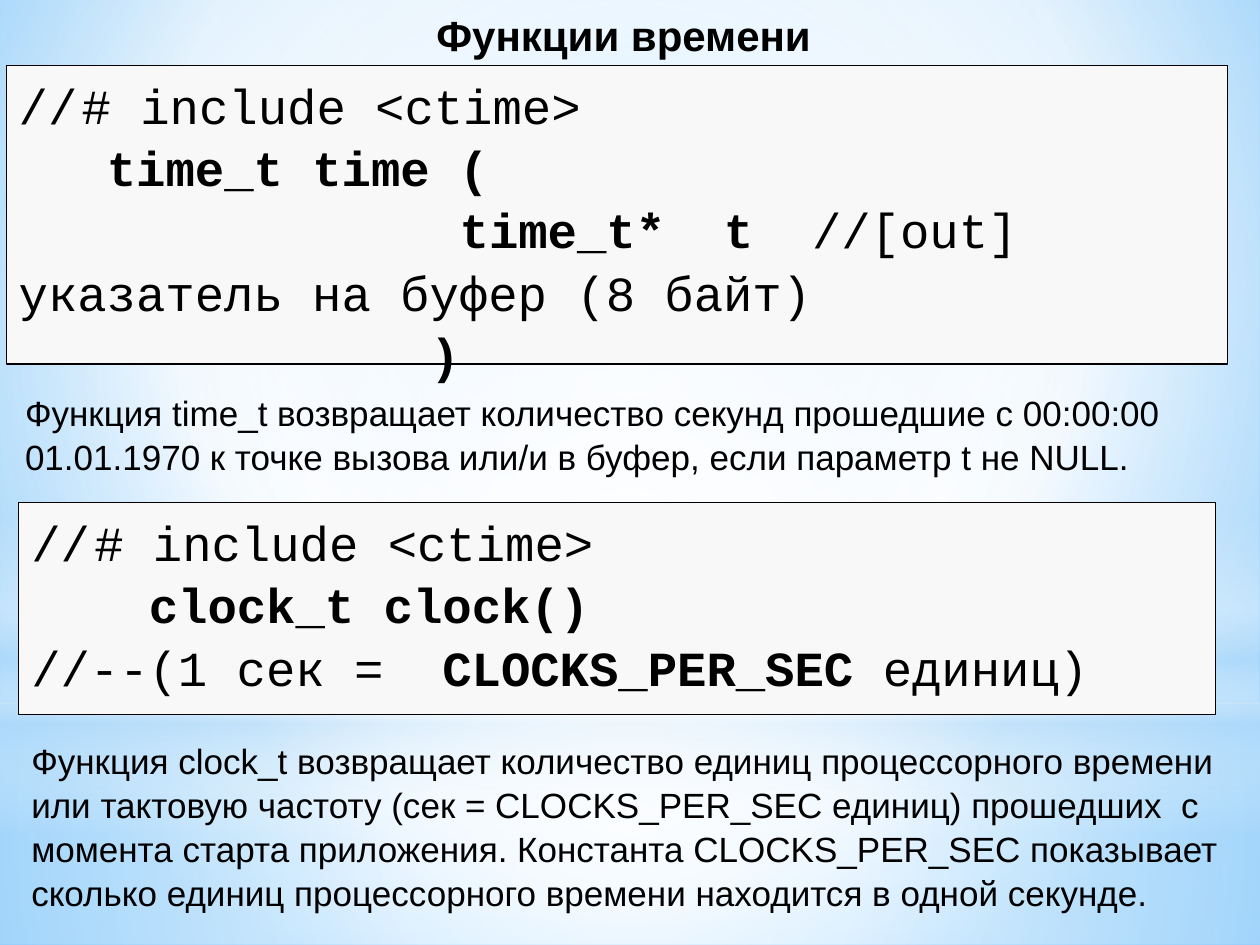
from dataclasses import dataclass

from lxml import etree
from pptx import Presentation
from pptx.dml.color import RGBColor
from pptx.enum.shapes import MSO_SHAPE as Preset
from pptx.enum.text import MSO_ANCHOR as Anchor, PP_ALIGN as Align
from pptx.oxml import parse_xml
from pptx.oxml.ns import nsdecls, qn
from pptx.util import Inches, Pt


@dataclass(frozen=True)
class Theme:
    ink: str = "000000"
    panel: str = "F8F8F8"
    white: str = "FFFFFF"
    sky: str = "B4DCFA"
    back_inner: str = "9ED5FF"
    back_outer: str = "5BB9FF"
    sans: str = "Arial"
    mono: str = "Courier New"
    title_size: int = 24
    body_size: int = 20
    code_size: int = 28
    body_spacing: float = 1.05
    code_spacing: float = 1.06


THEME = Theme()
CODE_CHAR = Pt(THEME.code_size * 0.6)  # advance width of one monospaced character
CENTRE = (50, 50, 50, 50)


def set_all(target, values):
    for name, value in values.items():
        setattr(target, name, value)


def paint_gradient(holder, stops, focus=None):
    """Swap the solid fill in holder for a gradient: radial with a focus, else vertical."""
    marks = "".join(
        f'<a:gs pos="{place * 1000}"><a:srgbClr val="{colour}">'
        f'<a:alpha val="{opacity * 1000}"/></a:srgbClr></a:gs>'
        for place, colour, opacity in stops
    )
    if focus:
        sides = " ".join(f'{side}="{part * 1000}"' for side, part in zip("ltrb", focus))
        shade = f'<a:path path="circle"><a:fillToRect {sides}/></a:path>'
    else:
        shade = '<a:lin ang="5400000" scaled="0"/>'
    gradient = parse_xml(
        f'<a:gradFill {nsdecls("a")} rotWithShape="1"><a:gsLst>{marks}</a:gsLst>{shade}</a:gradFill>'
    )
    holder.replace(holder.find(qn("a:solidFill")), gradient)


def add_plain_shape(page, preset, box, colour):
    shape = page.shapes.add_shape(preset, *map(Inches, box))
    shape.shadow.inherit = False
    shape.fill.solid()
    shape.fill.fore_color.rgb = RGBColor.from_string(colour)
    shape.line.fill.background()
    return shape


def add_span(para, text, face, size, bold=False):
    span = para.add_run()
    span.text = text
    set_all(span.font, {"name": face, "size": Pt(size), "bold": bold})
    span.font.color.rgb = RGBColor.from_string(THEME.ink)


def next_para(frame, index):
    return frame.add_paragraph() if index else frame.paragraphs[0]


def draw_backdrop(page):
    """Sky gradient with soft glows over it."""
    white, sky = THEME.white, THEME.sky
    page.background.fill.solid()
    paint_gradient(
        page.background._cSld.find(".//" + qn("p:bgPr")),
        [(0, THEME.back_inner, 100), (60, white, 100), (100, THEME.back_outer, 100)],
        (20, 10, 20, 60),
    )
    glows = [
        (Preset.RECTANGLE, (0, 5.58, 10, 1.92),
         [(0, white, 91), (37, white, 76), (100, sky, 79)], CENTRE),
        (Preset.RECTANGLE, (0, 0, 10, 5.58),
         [(0, white, 89), (48, white, 62), (100, sky, 79)], CENTRE),
        (Preset.RECTANGLE, (0, 4.12, 10, 2.5),
         [(0, white, 0), (29, white, 30), (45, sky, 40), (55, white, 26),
          (65, sky, 60), (100, white, 0)], None),
        (Preset.OVAL, (0, 1.75, 10, 5.58), [(0, white, 100), (56, white, 0)], CENTRE),
    ]
    for preset, box, stops, focus in glows:
        shape = add_plain_shape(page, preset, box, white)
        paint_gradient(shape._element.spPr, stops, focus)


def draw_code(page, box, lines):
    """Framed code; each line is (first-line indent in characters, [(text, bold)])."""
    panel = add_plain_shape(page, Preset.RECTANGLE, box, THEME.panel)
    panel.line.color.rgb = RGBColor.from_string(THEME.ink)
    panel.line.width = Pt(0.75)
    frame = panel.text_frame
    set_all(frame, {"word_wrap": True, "vertical_anchor": Anchor.TOP})
    for index, (indent, parts) in enumerate(lines):
        para = next_para(frame, index)
        set_all(para, {"alignment": Align.LEFT, "line_spacing": THEME.code_spacing})
        props = para._p.get_or_add_pPr()
        set_indent = {"marL": 0, "indent": indent * CODE_CHAR}
        for name, value in set_indent.items():
            props.set(name, str(int(value)))
        tabs = etree.SubElement(props, qn("a:tabLst"))
        etree.SubElement(tabs, qn("a:tab"), pos=str(int(5 * CODE_CHAR)), algn="l")
        for text, bold in parts:
            add_span(para, text, THEME.mono, THEME.code_size, bold)


def draw_text(page, box, lines, size, align=Align.LEFT, bold=False):
    """Plain text, one paragraph for each line."""
    frame = page.shapes.add_textbox(*map(Inches, box)).text_frame
    set_all(frame, {"word_wrap": True, "vertical_anchor": Anchor.TOP})
    for index, line in enumerate(lines):
        para = next_para(frame, index)
        set_all(para, {"alignment": align, "line_spacing": THEME.body_spacing})
        add_span(para, line, THEME.sans, size, bold)


def main():
    deck = Presentation()
    set_all(deck, {"slide_width": Inches(10), "slide_height": Inches(7.5)})
    page = deck.slides.add_slide(deck.slide_layouts[6])
    draw_backdrop(page)

    # Code panels
    include = (0, [("//\t# include <ctime>", False)])
    draw_code(page, (0.05, 0.52, 9.69, 2.37), [
        include,
        (3, [("time_t time (", True)]),
        (15, [("time_t*  t  ", True), ("//[out] указатель на буфер (8 байт)", False)]),
        (14, [(")", True)]),
    ])
    draw_code(page, (0.15, 3.99, 9.5, 1.68), [
        include,
        (4, [("clock_t clock()", True)]),
        (0, [("//--(1 сек =  ", False), ("CLOCKS_PER_SEC ", True), ("единиц)", False)]),
    ])

    # Title and explanations
    draw_text(page, (3.35, 0.01, 3.2, 0.81), ["Функции времени"],
              THEME.title_size, Align.CENTER, bold=True)
    draw_text(page, (0.1, 3.04, 9.42, 1.08), [
        "Функция time_t возвращает количество секунд прошедшие с 00:00:00",
        "01.01.1970 к точке вызова или/и в буфер, если параметр t не NULL.",
    ], THEME.body_size)
    draw_text(page, (0.15, 5.8, 9.77, 1.45), [
        "Функция clock_t возвращает количество единиц процессорного времени",
        "или тактовую частоту (сек = CLOCKS_PER_SEC единиц) прошедших  с",
        "момента старта приложения. Константа CLOCKS_PER_SEC показывает",
        "сколько единиц процессорного времени находится в одной секунде.",
    ], THEME.body_size, Align.JUSTIFY)

    deck.save("out.pptx")


if __name__ == "__main__":
    main()
